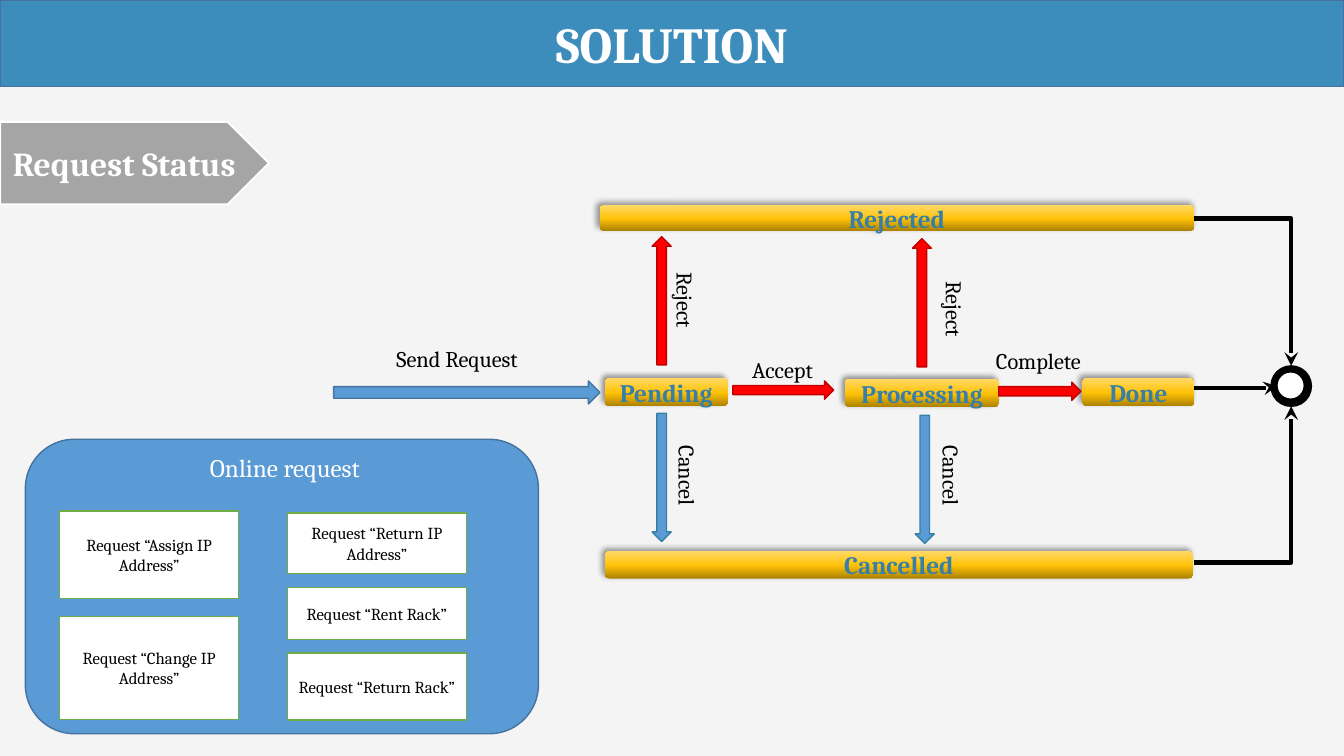
"""Builds the request status slide."""
from copy import deepcopy
from dataclasses import dataclass

from lxml import etree
from pptx import Presentation
from pptx.dml.color import RGBColor
from pptx.enum.shapes import MSO_CONNECTOR, MSO_SHAPE
from pptx.enum.text import MSO_ANCHOR, PP_ALIGN
from pptx.oxml.ns import qn
from pptx.util import Cm, Pt

RECT, ROUND = MSO_SHAPE.RECTANGLE, MSO_SHAPE.ROUNDED_RECTANGLE
ARROW, PLATE, OVAL = MSO_SHAPE.RIGHT_ARROW, MSO_SHAPE.PENTAGON, MSO_SHAPE.OVAL
ELBOW = MSO_CONNECTOR.ELBOW
CENTER, MIDDLE = PP_ALIGN.CENTER, MSO_ANCHOR.MIDDLE


@dataclass(frozen=True)
class Theme:
    """Colours, font and type sizes of the slide."""
    font: str = "Cambria"
    back: str = "F4F4F4"
    head: str = "3C8DBC"
    blue: str = "5B9BD5"
    edge: str = "43739E"
    deep: str = "367FA9"
    red: str = "FF0000"
    wine: str = "C00000"
    green: str = "70AD47"
    gray: str = "A5A5A5"
    white: str = "FFFFFF"
    black: str = "000000"
    gold: tuple = ((0, "AB8100"), (0.48, "FFC208"), (1, "FFD966"))
    title: int = 36
    tag: int = 24
    large: int = 18
    label: int = 16
    small: int = 12


@dataclass(frozen=True)
class Box:
    """A region in centimetres."""
    x: float
    y: float
    w: float
    h: float

    def sub(self, x, y, w, h):
        """Return a box placed from this one's corner."""
        return Box(self.x + x, self.y + y, w, h)

    def point(self, x, y):
        """Return a point placed from this box's corner."""
        return Cm(self.x + x), Cm(self.y + y)

    def frame(self):
        """Return left, top, width and height as lengths."""
        return Cm(self.x), Cm(self.y), Cm(self.w), Cm(self.h)


T = Theme()


def write(shape, text, size, color, bold=False):
    """Put one centred line of text in a shape."""
    frame = shape.text_frame
    frame.word_wrap = True
    frame.text = text
    para = frame.paragraphs[0]
    para.alignment = CENTER
    font = para.font
    font.name, font.size, font.bold = T.font, Pt(size), bold
    font.color.rgb = RGBColor.from_string(color)
    return frame


def paint(shape, fill, line=None, width=1):
    """Set the fill and outline of a shape."""
    shape.fill.solid()
    shape.fill.fore_color.rgb = RGBColor.from_string(fill)
    if line:
        shape.line.color.rgb = RGBColor.from_string(line)
        shape.line.width = Pt(width)
    else:
        shape.line.fill.background()


def block(slide, kind, box, fill, line=None, width=1):
    """Add a plain filled shape."""
    shape = slide.shapes.add_shape(kind, *box.frame())
    shape.shadow.inherit = False
    paint(shape, fill, line, width)
    return shape


def panel_text(shape, text, size, color, bold=False):
    """Write text centred both ways."""
    write(shape, text, size, color, bold).vertical_anchor = MIDDLE


def bar(slide, box, text):
    """Add a gold status bar with a soft shadow."""
    shape = block(slide, ROUND, box, T.white)
    shape.fill.gradient()
    shape.fill.gradient_angle = 90
    props = shape._element.spPr
    stops = props.find(".//" + qn("a:gsLst"))
    stops.append(deepcopy(stops[0]))
    for stop, (place, color) in zip(shape.fill.gradient_stops, T.gold):
        stop.position = place
        stop.color.rgb = RGBColor.from_string(color)
    shade = etree.SubElement(props.find(qn("a:effectLst")), qn("a:outerShdw"),
                             blurRad=str(Pt(4)), dist=str(Pt(3)), dir="13500000",
                             algn="br", rotWithShape="0")
    color = etree.SubElement(shade, qn("a:srgbClr"), val=T.black)
    etree.SubElement(color, qn("a:alpha"), val="40000")
    panel_text(shape, text, T.large, T.deep, True)


def label(slide, box, text, turn):
    """Add an arrow label."""
    shape = slide.shapes.add_textbox(*box.frame())
    shape.rotation = turn
    write(shape, text, T.label, T.black).paragraphs[0].line_spacing = 0.9


def wire(slide, start, end, bend=None):
    """Add a thick bent line with an arrowhead; bend sets a middle step."""
    line = slide.shapes.add_connector(ELBOW, *start, *end)
    line.line.color.rgb = RGBColor.from_string(T.black)
    line.line.width = Pt(3.25)
    props = line._element.spPr
    etree.SubElement(props.find(qn("a:ln")), qn("a:tailEnd"), type="stealth")
    etree.SubElement(props, qn("a:effectLst"))
    shape = props.find(qn("a:prstGeom"))
    if bend is None:
        shape.set("prst", "bentConnector2")
    else:
        guide = shape.find(qn("a:avLst"))
        etree.SubElement(guide, qn("a:gd"), name="adj1", fmla=f"val {bend}")


def header(slide, box):
    """Format the title as a full-width band."""
    title = slide.shapes.title
    title.left, title.top, title.width, title.height = box.frame()
    paint(title, T.head, T.edge)
    panel_text(title, "SOLUTION", T.title, T.white, True)


def tag(slide, box):
    """Add the section tag."""
    shape = block(slide, PLATE, box, T.gray, T.white, 1.5)
    panel_text(shape, "Request Status", T.tag, T.white, True)


def panel(slide, box):
    """Add the panel of online requests."""
    block(slide, ROUND, box, T.blue, T.edge)
    head = block(slide, RECT, box.sub(1.65, 0.05, 9.78, 1.32), T.blue)
    panel_text(head, "Online request", T.large, T.white)
    cards = {
        0.86: ((1.81, 2.21, "Assign IP Address"), (4.47, 2.59, "Change IP Address")),
        6.6: ((1.86, 1.52, "Return IP Address"), (3.74, 1.3, "Rent Rack"),
              (5.39, 1.68, "Return Rack")),
    }
    for x, stack in cards.items():
        for y, h, name in stack:
            card = block(slide, RECT, box.sub(x, y, 4.52, h), T.white, T.green)
            panel_text(card, f"Request “{name}”", T.small, T.black)


def flow(slide, box):
    """Add the status bars, their arrows and labels."""
    for text, *place in (("Pending", 6.83, 4.35, 3.1, 0.71),
                         ("Cancelled", 6.83, 8.71, 14.83, 0.69),
                         ("Rejected", 6.7, 0, 14.99, 0.64),
                         ("Processing", 12.88, 4.37, 3.89, 0.71),
                         ("Done", 18.87, 4.35, 2.82, 0.71)):
        bar(slide, box.sub(*place), text)
    red, blue, deep = (T.red, T.wine), (T.blue, T.edge), (T.blue, T.deep)
    tall = (3.23, 0.48)
    moves = (
        ("Send Request", (0, 4.42, 6.71, 0.58), 0, blue, (0.99, 3.48)),
        ("Accept", (10.06, 4.42, 2.54, 0.46), 0, red, (9.19, 3.74)),
        ("Complete", (16.76, 4.45, 2.07, 0.46), 0, red, (15.64, 3.53)),
        ("Reject", (6.65, 2.16, *tall), 270, red, (6.68, 1.93)),
        ("Reject", (13.21, 2.21, *tall), 270, red, (13.46, 2.16)),
        ("Cancel", (6.65, 6.61, *tall), 90, deep, (6.73, 6.35)),
        ("Cancel", (13.28, 6.66, *tall), 90, deep, (13.38, 6.35)),
    )
    for text, place, turn, paints, spot in moves:
        block(slide, ARROW, box.sub(*place), *paints).rotation = turn
        label(slide, box.sub(*spot, 4.24, 0.91), text, 90 if turn else 0)


def finish(slide, box):
    """Add the end ring and the lines that lead to it."""
    block(slide, OVAL, box.sub(1.93, 3.71, 1.02, 1.02), T.black, T.black)
    block(slide, OVAL, box.sub(2.08, 3.86, 0.69, 0.69), T.white, T.black)
    wire(slide, box.point(0, 0), box.point(2.44, 3.71))
    wire(slide, box.point(0, box.h), box.point(2.44, 4.73))
    wire(slide, box.point(0, 4.27), box.point(2.08, 4.22), 94200)


def main():
    """Build and save the slide."""
    deck = Presentation()
    deck.slide_width, deck.slide_height = Cm(33.87), Cm(19.05)
    slide = deck.slides.add_slide(deck.slide_layouts[5])
    slide.background.fill.solid()
    slide.background.fill.fore_color.rgb = RGBColor.from_string(T.back)
    header(slide, Box(0, 0, 33.87, 2.18))
    panel(slide, Box(0.64, 11.07, 12.93, 7.42))
    flow(slide, Box(8.41, 5.18, 24.64, 9.4))
    finish(slide, Box(30.1, 5.51, 2.95, 8.66))
    tag(slide, Box(0, 3.07, 6.78, 2.08))
    deck.save("out.pptx")


if __name__ == "__main__":
    main()
